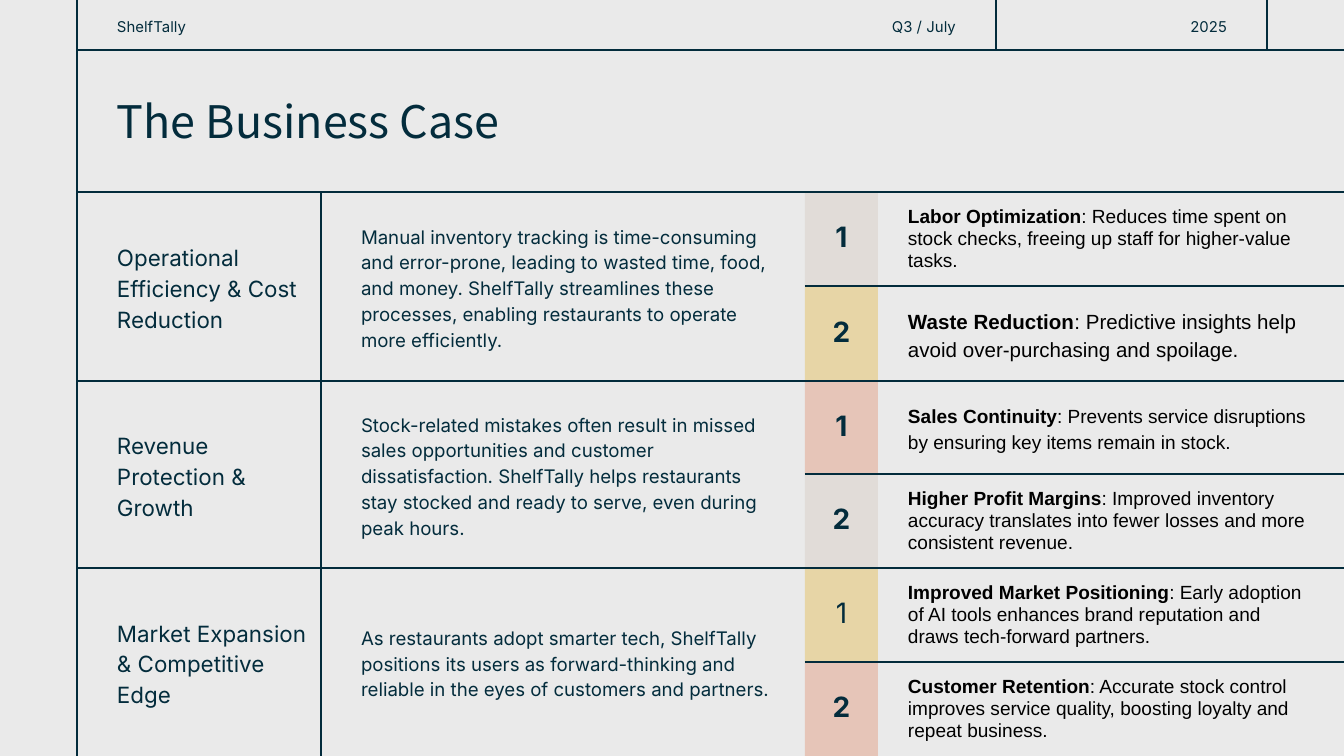
from dataclasses import dataclass

from lxml import etree
from pptx import Presentation
from pptx.dml.color import RGBColor
from pptx.enum.shapes import MSO_CONNECTOR, MSO_SHAPE
from pptx.enum.text import MSO_ANCHOR, PP_ALIGN
from pptx.oxml.ns import qn
from pptx.util import Emu, Pt

STRAIGHT = MSO_CONNECTOR.STRAIGHT
RECTANGLE = MSO_SHAPE.RECTANGLE
MIDDLE = MSO_ANCHOR.MIDDLE
LEFT, CENTER, RIGHT = PP_ALIGN.LEFT, PP_ALIGN.CENTER, PP_ALIGN.RIGHT

PX_PER_INCH = 134.4
COLORS = {
    "background": "EAEAEA",
    "ink": "032C3C",
    "black": "000000",
    "stone": "E1DCD8",
    "sand": "E7D5A6",
    "rose": "E6C5B8",
}

WIDTH, HEIGHT = 1344, 756
HEADER_BOTTOM = 50
MARGIN_X, BODY_X, NUMBER_X, BENEFIT_X = 77, 321, 805, 895
QUARTER_END, YEAR_END = 996, 1267
NUMBER_WIDTH, BODY_WIDTH, BENEFIT_WIDTH = 73, 468, 433
ROW_EDGES = (192, 381, 568, HEIGHT)
PAD, WIDE_PAD = 13, 40


@dataclass(frozen=True)
class Box:
    left: int
    top: int
    width: int
    height: int


@dataclass(frozen=True)
class Benefit:
    tint: str
    lead: str
    detail: str
    size: float = 10.2
    spacing: float = 0.95
    bold_number: bool = True


@dataclass(frozen=True)
class Section:
    topic: str
    problem: str
    benefits: tuple[Benefit, Benefit]


SECTIONS = (
    Section(
        "Operational Efficiency & Cost Reduction",
        "Manual inventory tracking is time-consuming and error-prone, leading to "
        "wasted time, food, and money. ShelfTally streamlines these processes, "
        "enabling restaurants to operate more efficiently.",
        (
            Benefit("stone", "Labor Optimization",
                    ": Reduces time spent on stock checks, freeing up staff for "
                    "higher-value tasks."),
            Benefit("sand", "Waste Reduction",
                    ": Predictive insights help avoid over-purchasing and spoilage.",
                    size=11, spacing=1.15),
        ),
    ),
    Section(
        "Revenue Protection & Growth",
        "Stock-related mistakes often result in missed sales opportunities and "
        "customer dissatisfaction. ShelfTally helps restaurants stay stocked and "
        "ready to serve, even during peak hours.",
        (
            Benefit("rose", "Sales Continuity",
                    ": Prevents service disruptions by ensuring key items remain "
                    "in stock.", spacing=1.15),
            Benefit("stone", "Higher Profit Margins",
                    ": Improved inventory accuracy translates into fewer losses "
                    "and more consistent revenue."),
        ),
    ),
    Section(
        "Market Expansion & Competitive Edge",
        "As restaurants adopt smarter tech, ShelfTally positions its users as "
        "forward-thinking and reliable in the eyes of customers and partners.",
        (
            Benefit("sand", "Improved Market Positioning",
                    ": Early adoption of AI tools enhances brand reputation and "
                    "draws tech-forward partners.", bold_number=False),
            Benefit("rose", "Customer Retention",
                    ": Accurate stock control improves service quality, boosting "
                    "loyalty and repeat business."),
        ),
    ),
)


def px(length: int) -> Emu:
    return Emu(round(length * 914400 / PX_PER_INCH))


def color(name: str) -> RGBColor:
    return RGBColor.from_string(COLORS[name])


def place(box: Box) -> tuple[Emu, Emu, Emu, Emu]:
    return px(box.left), px(box.top), px(box.width), px(box.height)


def add_rule(slide, x1: int, y1: int, x2: int, y2: int) -> None:
    rule = slide.shapes.add_connector(STRAIGHT, px(x1), px(y1), px(x2), px(y2))
    rule.line.color.rgb = color("ink")
    rule.line.width = Pt(0.75)
    etree.SubElement(rule._element.spPr, qn("a:effectLst"))


def add_tint(slide, box: Box, tint: str) -> None:
    cell = slide.shapes.add_shape(RECTANGLE, *place(box))
    cell.shadow.inherit = False
    cell.fill.solid()
    cell.fill.fore_color.rgb = color(tint)
    cell.line.fill.background()


def add_text(slide, box: Box, text: str, *, lead: str = "", size: float = 10,
             font: str = "Inter", ink: str = "ink", bold: bool = False,
             align: PP_ALIGN = LEFT, spacing: float = 1.15,
             left: int = PAD, right: int = PAD, vertical: int = PAD) -> None:
    """Write text in a middle-anchored box, after an optional bold lead."""
    frame = slide.shapes.add_textbox(*place(box)).text_frame
    frame.word_wrap = True
    frame.vertical_anchor = MIDDLE
    frame.margin_left, frame.margin_right = px(left), px(right)
    frame.margin_top = frame.margin_bottom = px(vertical)
    paragraph = frame.paragraphs[0]
    paragraph.alignment = align
    paragraph.line_spacing = spacing
    for content, is_bold in ((lead, True), (text, bold)):
        if content:
            run = paragraph.add_run()
            run.text = content
            run.font.name = font
            run.font.size = Pt(size)
            run.font.bold = is_bold
            run.font.color.rgb = color(ink)


def add_header(slide) -> None:
    add_rule(slide, MARGIN_X, HEADER_BOTTOM, WIDTH, HEADER_BOTTOM)
    for x in (QUARTER_END, YEAR_END):
        add_rule(slide, x, 0, x, HEADER_BOTTOM)
    add_text(slide, Box(MARGIN_X, 0, 430, HEADER_BOTTOM), "ShelfTally",
             size=8, left=WIDE_PAD)
    for text, start, end in (("Q3 / July", 601, QUARTER_END),
                             ("2025", QUARTER_END, YEAR_END)):
        add_text(slide, Box(start, 0, end - start, HEADER_BOTTOM), text,
                 size=8, align=RIGHT, right=WIDE_PAD)
    add_text(slide, Box(MARGIN_X, HEADER_BOTTOM, QUARTER_END - MARGIN_X,
                        ROW_EDGES[0] - HEADER_BOTTOM),
             "The Business Case", size=24, font="Noto Sans CJK KR",
             spacing=1.0, left=WIDE_PAD, vertical=0)


def add_benefit(slide, benefit: Benefit, number: int, top: int, bottom: int) -> None:
    number_cell = Box(NUMBER_X, top, NUMBER_WIDTH, bottom - top)
    add_tint(slide, number_cell, benefit.tint)
    add_text(slide, number_cell, str(number), size=15, align=CENTER,
             bold=benefit.bold_number, spacing=0.9)
    add_text(slide, Box(BENEFIT_X, top, BENEFIT_WIDTH, bottom - top),
             benefit.detail, lead=benefit.lead, size=benefit.size,
             font="Arial", ink="black", spacing=benefit.spacing)


def add_section(slide, section: Section, top: int, bottom: int) -> None:
    height = bottom - top
    add_text(slide, Box(MARGIN_X, top, BODY_X - MARGIN_X, height), section.topic,
             size=12, left=WIDE_PAD, vertical=0)
    add_text(slide, Box(BODY_X, top, BODY_WIDTH, height), section.problem,
             left=WIDE_PAD)
    middle = (top + bottom) // 2
    edges = ((top, middle), (middle, bottom))
    for number, (benefit, span) in enumerate(zip(section.benefits, edges), 1):
        add_benefit(slide, benefit, number, *span)
    add_rule(slide, MARGIN_X, top, WIDTH, top)
    add_rule(slide, NUMBER_X, middle, WIDTH, middle)


def main() -> None:
    deck = Presentation()
    deck.slide_width, deck.slide_height = px(WIDTH), px(HEIGHT)
    slide = deck.slides.add_slide(deck.slide_layouts[6])
    slide.background.fill.solid()
    slide.background.fill.fore_color.rgb = color("background")

    add_header(slide)
    add_rule(slide, MARGIN_X, 0, MARGIN_X, HEIGHT)
    add_rule(slide, BODY_X, ROW_EDGES[0], BODY_X, HEIGHT)
    for section, top, bottom in zip(SECTIONS, ROW_EDGES, ROW_EDGES[1:]):
        add_section(slide, section, top, bottom)
    deck.save("out.pptx")


if __name__ == "__main__":
    main()
